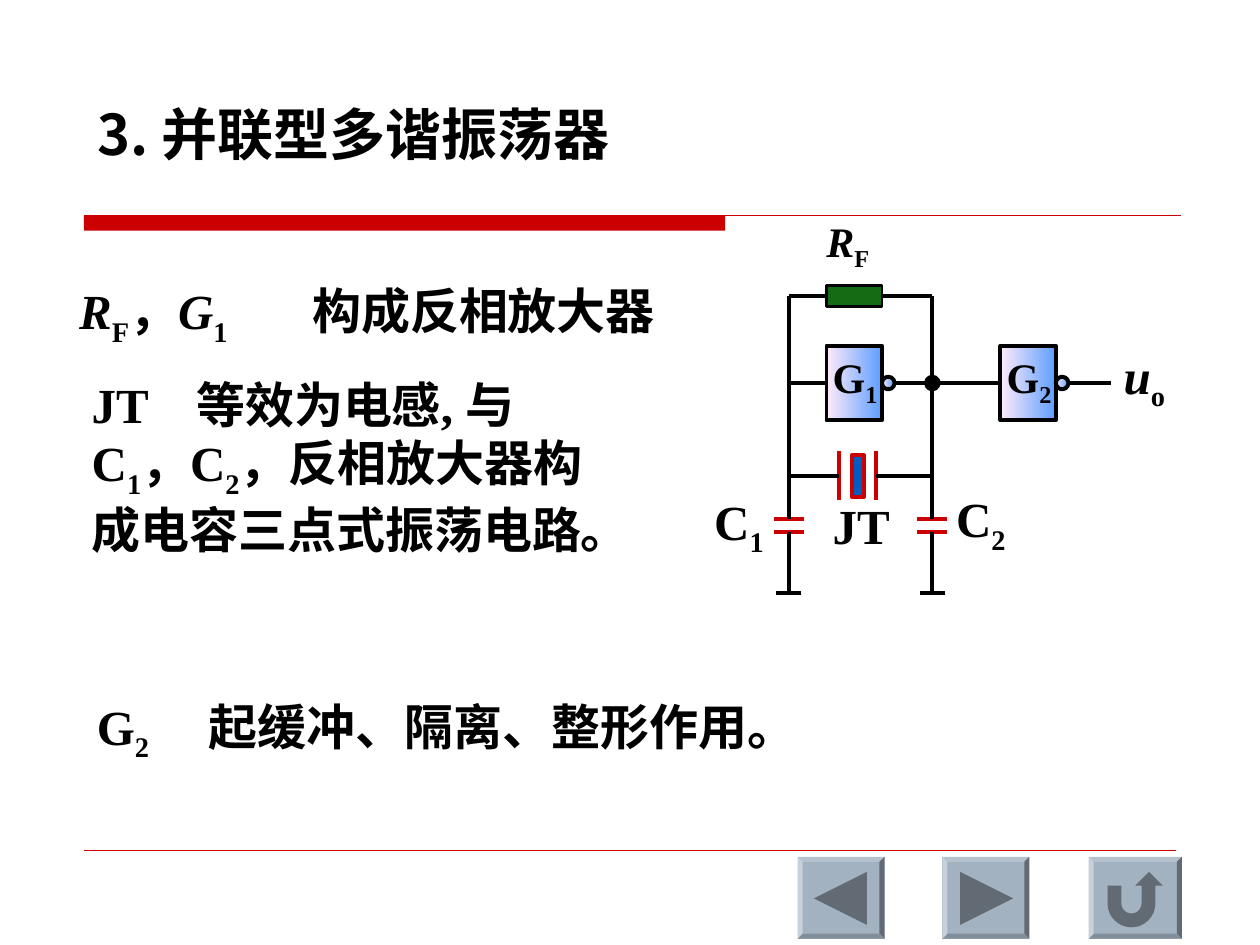
from dataclasses import dataclass
from math import cos, pi, sin

from lxml import etree
from pptx import Presentation
from pptx.dml.color import RGBColor
from pptx.enum.shapes import MSO_CONNECTOR, MSO_SHAPE
from pptx.enum.text import MSO_ANCHOR, MSO_AUTO_SIZE, PP_ALIGN
from pptx.oxml.ns import qn
from pptx.util import Inches, Pt

RECT, OVAL = MSO_SHAPE.RECTANGLE, MSO_SHAPE.OVAL
STRAIGHT = MSO_CONNECTOR.STRAIGHT
LEFT_SIDE, RIGHT_SIDE = 1, 3


@dataclass(frozen=True)
class Theme:
    ink: str = "000000"
    red: str = "CC0000"
    resistor: str = "156B13"
    crystal: str = "005CBF"
    gate: tuple = ("FFEBFA", "5E9EFF")
    button: str = "A3B2C1"
    bevels: tuple = ("B5C1CD", "626A74", "828E9A", "C8D1DA")
    icon: str = "626A74"
    latin: str = "Times New Roman"
    cjk: str = "Noto Sans CJK SC"
    title_size: int = 32
    text_size: int = 28
    small_size: int = 24
    wire: float = 2.25


THEME = Theme()
COLUMNS = (6.26, 7.4)
FEEDBACK_Y, GATE_Y, CRYSTAL_Y = 2.35, 3.04, 3.78
PLATES, GROUND_Y = (4.12, 4.22), 4.71


def rgb(code):
    return RGBColor.from_string(code)


def style_run(run, size, latin, italic=False, subscript=False):
    font = run.font
    font.size, font.name, font.bold, font.italic = Pt(size), latin, True, italic
    font.color.rgb = rgb(THEME.ink)
    properties = font._element
    if subscript:
        properties.set("baseline", "-25000")
    east_asian = etree.Element(qn("a:ea"), typeface=THEME.cjk)
    properties.find(qn("a:latin")).addnext(east_asian)


def add_title(slide, text):
    title = slide.shapes.title
    title.left, title.top, title.width, title.height = map(Inches, (0.67, 0.7, 5.12, 0.71))
    frame = title.text_frame
    frame.text = text
    frame.auto_size = MSO_AUTO_SIZE.NONE
    frame.vertical_anchor = MSO_ANCHOR.MIDDLE
    frame.paragraphs[0].alignment = PP_ALIGN.LEFT
    style_run(frame.paragraphs[0].runs[0], THEME.title_size, THEME.cjk)


def add_text(slide, box, pieces, size=THEME.text_size, tab=None):
    """Pieces are (text, marks) pairs; the marks are "i" for italic and "s" for subscript."""
    frame = slide.shapes.add_textbox(*map(Inches, box)).text_frame
    frame.word_wrap = True
    paragraph = frame.paragraphs[0]
    paragraph.space_before = Pt(size * 0.625)
    if tab:
        stops = etree.SubElement(paragraph._p.get_or_add_pPr(), qn("a:tabLst"))
        etree.SubElement(stops, qn("a:tab"), pos=str(Inches(tab)), algn="l")
    for text, marks in pieces:
        run = paragraph.add_run()
        run.text = text
        style_run(run, size, THEME.latin, "i" in marks, "s" in marks)


def add_part(slide, kind, center, size, fill, line=THEME.ink, width=THEME.wire):
    """A shape about its center; a pair of fill colours gives a gradient."""
    (x, y), (w, h) = center, size
    part = slide.shapes.add_shape(kind, *map(Inches, (x - w / 2, y - h / 2, w, h)))
    part.shadow.inherit = False
    if isinstance(fill, tuple):
        part.fill.gradient()
        part.fill.gradient_angle = 0
        for stop, code in zip(part.fill.gradient_stops, fill):
            stop.color.rgb = rgb(code)
    else:
        part.fill.solid()
        part.fill.fore_color.rgb = rgb(fill)
    if line:
        part.line.color.rgb = rgb(line)
        part.line.width = Pt(width)
    else:
        part.line.fill.background()
    return part


def add_wire(slide, start, end, color=THEME.ink, width=THEME.wire, begin=None, finish=None):
    wire = slide.shapes.add_connector(STRAIGHT, *map(Inches, (*start, *end)))
    wire.line.color.rgb = rgb(color)
    wire.line.width = Pt(width)
    etree.SubElement(wire._element.spPr, qn("a:effectLst"))
    if begin:
        wire.begin_connect(*begin)
    if finish:
        wire.end_connect(*finish)


def add_polygon(slide, points, fill):
    first, *rest = [(Inches(x), Inches(y)) for x, y in points]
    builder = slide.shapes.build_freeform(*first)
    builder.add_line_segments(rest, close=True)
    polygon = builder.convert_to_shape()
    polygon.shadow.inherit = False
    polygon.fill.solid()
    polygon.fill.fore_color.rgb = rgb(fill)
    polygon.line.fill.background()


def half_circle(center, radius, start, end, steps=16):
    x, y = center
    angles = [start + (end - start) * i / steps for i in range(steps + 1)]
    return [(x + radius * cos(a), y + radius * sin(a)) for a in angles]


def return_arrow(x, y):
    """Outline of a U-shaped arrow whose bend is centred on x, y."""
    bend, outer, inner, top = (x, y), 0.19, 0.08, y - 0.14
    return [(x - outer, top), (x - inner, top),
            *half_circle(bend, inner, pi, 0),
            (x + inner, top), (x + 0.03, top), (x + 0.14, top - 0.11),
            (x + 0.25, top), (x + outer, top),
            *half_circle(bend, outer, 0, pi)]


def add_button(slide, left, width, icon):
    top, height, rim = 6.8, 0.65, 0.04

    def corners(inset):
        l, t = left + inset, top + inset
        r, b = left + width - inset, top + height - inset
        return [(l, t), (r, t), (r, b), (l, b)]

    outer, inner = corners(0), corners(rim)
    add_polygon(slide, outer, THEME.button)
    for i, shade in enumerate(THEME.bevels):
        j = (i + 1) % 4
        add_polygon(slide, [outer[i], outer[j], inner[j], inner[i]], shade)
    add_polygon(slide, icon, THEME.icon)


def add_gate(slide, x):
    """An inverter; returns its body."""
    body = add_part(slide, RECT, (x, GATE_Y), (0.44, 0.59), THEME.gate)
    add_part(slide, OVAL, (x + 0.27, GATE_Y), (0.1, 0.1), THEME.gate)
    return body


def add_branch(slide, x):
    """One side of the feedback loop with its capacitor and ground."""
    for y in PLATES:
        add_wire(slide, (x - 0.12, y), (x + 0.12, y), THEME.red)
    add_wire(slide, (x, FEEDBACK_Y), (x, PLATES[0]))
    add_wire(slide, (x, PLATES[1]), (x, GROUND_Y))
    add_wire(slide, (x - 0.1, GROUND_Y), (x + 0.1, GROUND_Y))


def add_circuit(slide):
    left, right = COLUMNS
    inverter, buffer = [add_gate(slide, x) for x in (6.78, 8.16)]
    resistor = add_part(slide, RECT, (6.78, FEEDBACK_Y), (0.44, 0.17), THEME.resistor, width=1.5)
    add_part(slide, RECT, (6.81, CRYSTAL_Y), (0.1, 0.33), THEME.crystal, THEME.red)
    for x in (6.66, 6.95):
        add_wire(slide, (x, 3.58), (x, 3.97), THEME.red)
    for x in COLUMNS:
        add_branch(slide, x)
    add_wire(slide, (left, CRYSTAL_Y), (6.66, CRYSTAL_Y))
    add_wire(slide, (6.95, CRYSTAL_Y), (right, CRYSTAL_Y))
    add_wire(slide, (left, GATE_Y), (6.56, GATE_Y), finish=(inverter, LEFT_SIDE))
    add_wire(slide, (7.1, GATE_Y), (7.94, GATE_Y), finish=(buffer, LEFT_SIDE))
    add_wire(slide, (8.48, GATE_Y), (8.82, GATE_Y))
    add_wire(slide, (left, FEEDBACK_Y), (6.56, FEEDBACK_Y), finish=(resistor, LEFT_SIDE))
    add_wire(slide, (7, FEEDBACK_Y), (right, FEEDBACK_Y), begin=(resistor, RIGHT_SIDE))
    add_part(slide, OVAL, (right, GATE_Y), (0.1, 0.1), THEME.ink)

    add_text(slide, (5.57, 3.85, 0.64, 0.63), [("C", ""), ("1", "s")])
    add_text(slide, (7.49, 3.83, 0.64, 0.63), [("C", ""), ("2", "s")])
    add_text(slide, (6.51, 3.88, 0.7, 0.57), [("JT", "")])
    add_text(slide, (8.82, 2.69, 0.59, 0.63), [("u", "i"), ("o", "s")])
    small = THEME.small_size
    add_text(slide, (6.46, 1.66, 0.69, 0.56), [("R", "i"), ("F", "s")], small)
    add_text(slide, (6.51, 2.74, 0.69, 0.56), [("G", ""), ("1", "s")], small)
    add_text(slide, (7.89, 2.74, 0.69, 0.56), [("G", ""), ("2", "s")], small)


def main():
    deck = Presentation()
    deck.slide_width, deck.slide_height = Inches(10), Inches(7.5)
    slide = deck.slides.add_slide(deck.slide_layouts[5])

    add_part(slide, RECT, (3.21, 1.77), (5.09, 0.12), THEME.red, line=None)
    add_wire(slide, (0.67, 1.71), (9.37, 1.71), THEME.red, 0.75)
    add_wire(slide, (0.67, 6.75), (9.33, 6.75), THEME.red, 0.25)
    add_title(slide, "3. 并联型多谐振荡器")
    add_circuit(slide)

    add_text(slide, (0.53, 2.18, 4.85, 0.63),
             [("R", "i"), ("F", "s"), ("，", ""), ("G", "i"), ("1", "s"),
              ("\t构成反相放大器", "")], tab=1.85)
    add_text(slide, (0.63, 2.92, 4.3, 1.63),
             [("JT\t等效为电感, 与C", ""), ("1", "s"), ("，C", ""), ("2", "s"),
              ("，反相放大器构成电容三点式振荡电路。", "")], tab=0.83)
    add_text(slide, (0.67, 5.48, 6.63, 0.63),
             [("G", ""), ("2", "s"), ("\t起缓冲、隔离、整形作用。", "")], tab=0.89)

    add_button(slide, 6.33, 0.69, [(6.46, 7.13), (6.88, 6.92), (6.88, 7.34)])
    add_button(slide, 7.48, 0.69, [(7.62, 6.92), (8.04, 7.13), (7.62, 7.34)])
    add_button(slide, 8.64, 0.74, return_arrow(8.98, 7.17))
    deck.save("out.pptx")


if __name__ == "__main__":
    main()
